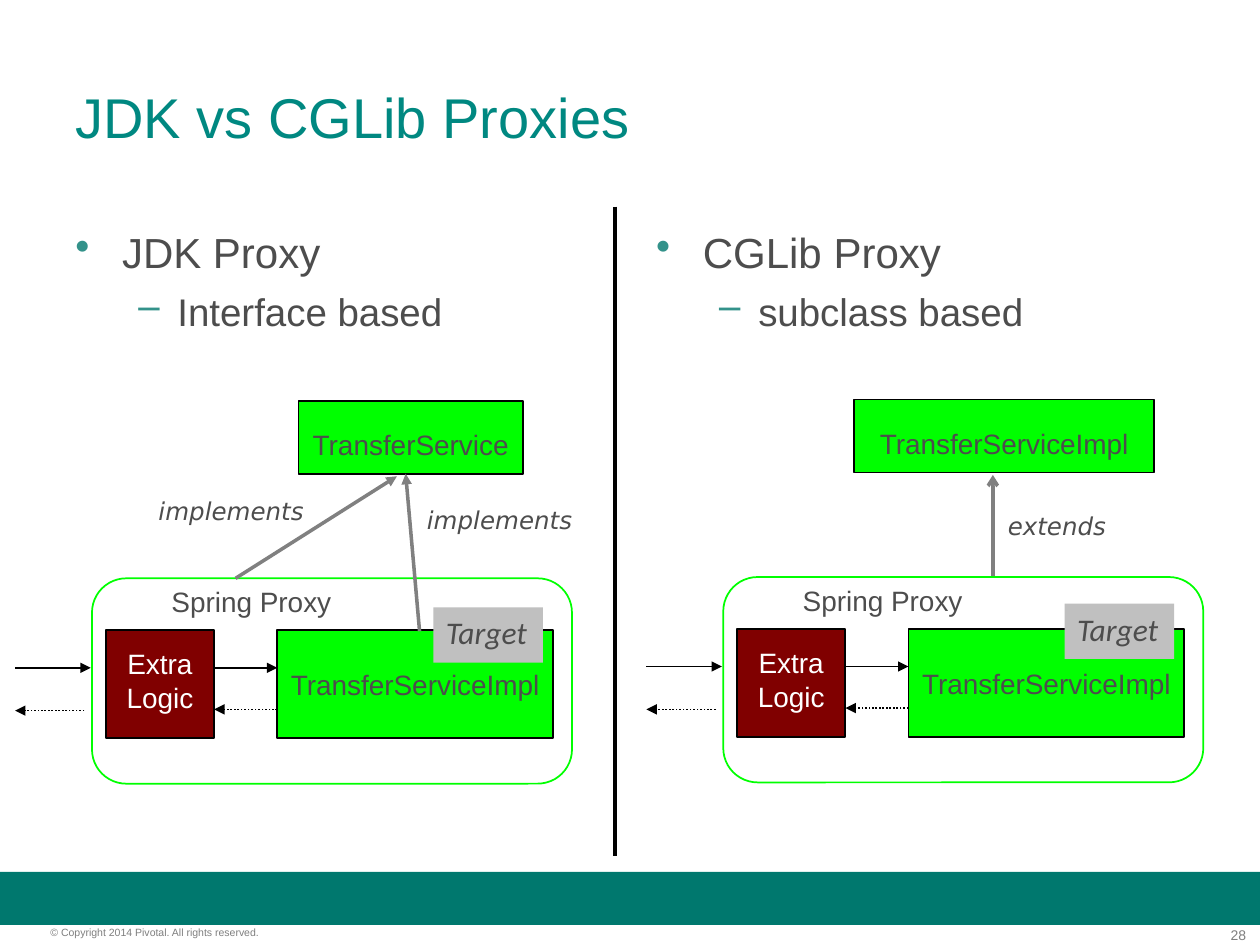
from pptx import Presentation
from pptx.dml.color import RGBColor
from pptx.enum.dml import MSO_LINE
from pptx.enum.shapes import MSO_CONNECTOR, MSO_SHAPE
from pptx.enum.text import MSO_ANCHOR, PP_ALIGN
from pptx.oxml.ns import qn
from pptx.util import Inches, Pt
from lxml.etree import SubElement

TEAL = RGBColor(0x00, 0x78, 0x6E)
TITLE_TEAL = RGBColor(0x00, 0x88, 0x81)
BULLET_TEAL = RGBColor(0x33, 0x92, 0x8A)
TEXT_GRAY = RGBColor(0x4D, 0x4D, 0x4D)
FOOTER_GRAY = RGBColor(0x7F, 0x7F, 0x7F)
LINE_GRAY = RGBColor(0x80, 0x80, 0x80)
TAG_GRAY = RGBColor(0xC0, 0xC0, 0xC0)
GREEN = RGBColor(0x00, 0xFF, 0x00)
MAROON = RGBColor(0x80, 0x00, 0x00)
BLACK = RGBColor(0x00, 0x00, 0x00)
WHITE = RGBColor(0xFF, 0xFF, 0xFF)

TITLE = "JDK vs CGLib Proxies"
COPYRIGHT = "© Copyright 2014 Pivotal. All rights reserved."
PAGE_NUMBER = "28"
BULLET_COLUMNS = [
    (0.5, "JDK Proxy", "Interface based"),
    (5.11, "CGLib Proxy", "subclass based"),
]
BULLET_LEVELS = [("•", 24, 0.37, 0.37), ("–", 22, 0.81, 0.31)]
DIAGRAMS = [
    {"offset": (0, 0), "parent": ("TransferService", 2.37, 3.18, 1.78), "target_top": 4.82},
    {"offset": (5.01, -0.01), "parent": ("TransferServiceImpl", 6.78, 3.17, 2.38), "target_top": 4.79},
]
CALL_ARROWS = [
    ((0.12, 5.3), (0.72, 5.3), False),
    ((1.7, 5.3), (2.2, 5.3), False),
    ((2.2, 5.63), (1.7, 5.63), True),
    ((0.67, 5.64), (0.12, 5.64), True),
]
RELATION_ARROWS = [
    ((3.33, 5.01), (3.22, 3.76), "triangle"),
    ((1.87, 4.59), (3.15, 3.78), "triangle"),
    ((7.88, 4.57), (7.88, 3.77), "arrow"),
]
RELATION_LABELS = [
    ("implements", 1.16, 3.89, 1.67),
    ("implements", 3.29, 3.96, 1.67),
    ("extends", 7.9, 4.01, 1.3),
]


def write_text(shape, lines, size, color=TEXT_GRAY, font="Arial", italic=False,
               align=PP_ALIGN.LEFT, anchor=MSO_ANCHOR.TOP, wrap=True):
    frame = shape.text_frame
    frame.word_wrap = wrap
    frame.vertical_anchor = anchor
    for index, line in enumerate(lines):
        paragraph = frame.paragraphs[0] if index == 0 else frame.add_paragraph()
        paragraph.text = line
        paragraph.alignment = align
        paragraph.font.name = font
        paragraph.font.size = Pt(size)
        paragraph.font.italic = italic
        paragraph.font.color.rgb = color


def add_text(slide, box, lines, size, inset=True, **style):
    shape = slide.shapes.add_textbox(*map(Inches, box))
    if not inset:
        frame = shape.text_frame
        frame.margin_left = frame.margin_right = frame.margin_top = frame.margin_bottom = 0
    write_text(shape, lines, size, **style)


def add_box(slide, box, fill, line=None, kind=MSO_SHAPE.RECTANGLE):
    shape = slide.shapes.add_shape(kind, *map(Inches, box))
    shape.shadow.inherit = False
    shape.fill.solid()
    shape.fill.fore_color.rgb = fill
    if line is None:
        shape.line.fill.background()
    else:
        shape.line.color.rgb = line
        shape.line.width = Pt(1)
    return shape


def add_labelled_box(slide, box, fill, lines, color=TEXT_GRAY, top=0.05, bottom=0.05):
    shape = add_box(slide, box, fill, BLACK)
    shape.text_frame.margin_top = Inches(top)
    shape.text_frame.margin_bottom = Inches(bottom)
    write_text(shape, lines, 16, color, align=PP_ALIGN.CENTER,
               anchor=MSO_ANCHOR.MIDDLE, wrap=False)


def add_line(slide, start, end, color, width, arrow=None, dotted=False):
    connector = slide.shapes.add_connector(
        MSO_CONNECTOR.STRAIGHT, *map(Inches, (*start, *end)))
    connector.line.color.rgb = color
    connector.line.width = Pt(width)
    if dotted:
        connector.line.dash_style = MSO_LINE.ROUND_DOT
    properties = connector._element.spPr
    if arrow:
        SubElement(properties.find(qn("a:ln")), qn("a:tailEnd"), type=arrow)
    SubElement(properties, qn("a:effectLst"))


def add_bullets(slide, left, lines):
    shape = slide.shapes.add_textbox(*map(Inches, (left, 1.75, 4.39, 0.95)))
    frame = shape.text_frame
    frame.word_wrap = True
    for index, (line, level) in enumerate(zip(lines, BULLET_LEVELS)):
        character, size, margin, hanging = level
        paragraph = frame.paragraphs[0] if index == 0 else frame.add_paragraph()
        paragraph.text = line
        paragraph.level = index
        properties = paragraph._p.get_or_add_pPr()
        properties.set("marL", str(Inches(margin)))
        properties.set("indent", str(-Inches(hanging)))
        bullet_color = SubElement(properties, qn("a:buClr"))
        SubElement(bullet_color, qn("a:srgbClr"), val=str(BULLET_TEAL))
        SubElement(properties, qn("a:buChar"), char=character)
        if index:
            paragraph.space_before = Pt(6)
        paragraph.font.name = "Arial"
        paragraph.font.size = Pt(size)
        paragraph.font.color.rgb = TEXT_GRAY


def add_diagram(slide, offset, parent, target_top):
    dx, dy = offset

    def place(left, top, width, height):
        return left + dx, top + dy, width, height

    container = add_box(slide, place(0.73, 4.59, 3.81, 1.63), WHITE, GREEN,
                        MSO_SHAPE.ROUNDED_RECTANGLE)
    container.adjustments[0] = 0.167
    add_labelled_box(slide, place(2.2, 5, 2.19, 0.86), GREEN, ["TransferServiceImpl"])
    add_labelled_box(slide, place(0.84, 5, 0.86, 0.86), MAROON, ["Extra", "Logic"],
                     WHITE, bottom=0.11)
    for start, end, dotted in CALL_ARROWS:
        add_line(slide, (start[0] + dx, start[1] + dy), (end[0] + dx, end[1] + dy),
                 BLACK, 1, "triangle", dotted)
    add_text(slide, place(0.37, 4.59, 3.25, 0.37), ["Spring Proxy"], 16,
             align=PP_ALIGN.CENTER)
    name, left, top, width = parent
    add_labelled_box(slide, (left, top, width, 0.58), GREEN, [name], top=0.16)
    target = add_box(slide, (3.44 + dx, target_top, 0.87, 0.44), TAG_GRAY)
    write_text(target, ["Target"], 18, font="Calibri", italic=True)


def main():
    presentation = Presentation()
    presentation.slide_width = Inches(10)
    presentation.slide_height = Inches(7.5)
    slide = presentation.slides.add_slide(presentation.slide_layouts[6])

    add_box(slide, (0, 6.92, 10, 0.42), TEAL)
    add_text(slide, (9.31, 7.35, 0.58, 0.13), [PAGE_NUMBER], 8, inset=False,
             color=FOOTER_GRAY, align=PP_ALIGN.RIGHT)
    add_text(slide, (0.4, 7.35, 2.49, 0.1), [COPYRIGHT], 6, inset=False,
             color=FOOTER_GRAY)
    add_text(slide, (0.5, 0.3, 9, 1.25), [TITLE], 32, color=TITLE_TEAL,
             anchor=MSO_ANCHOR.MIDDLE)
    for left, *lines in BULLET_COLUMNS:
        add_bullets(slide, left, lines)
    add_line(slide, (4.88, 1.64), (4.88, 6.79), BLACK, 0)
    for diagram in DIAGRAMS:
        add_diagram(slide, **diagram)
    for start, end, arrow in RELATION_ARROWS:
        add_line(slide, start, end, LINE_GRAY, 0, arrow)
    for label, left, top, width in RELATION_LABELS:
        add_text(slide, (left, top, width, 0.34), [label], 14,
                 font="DejaVu Sans", italic=True)

    presentation.save("out.pptx")


if __name__ == "__main__":
    main()
